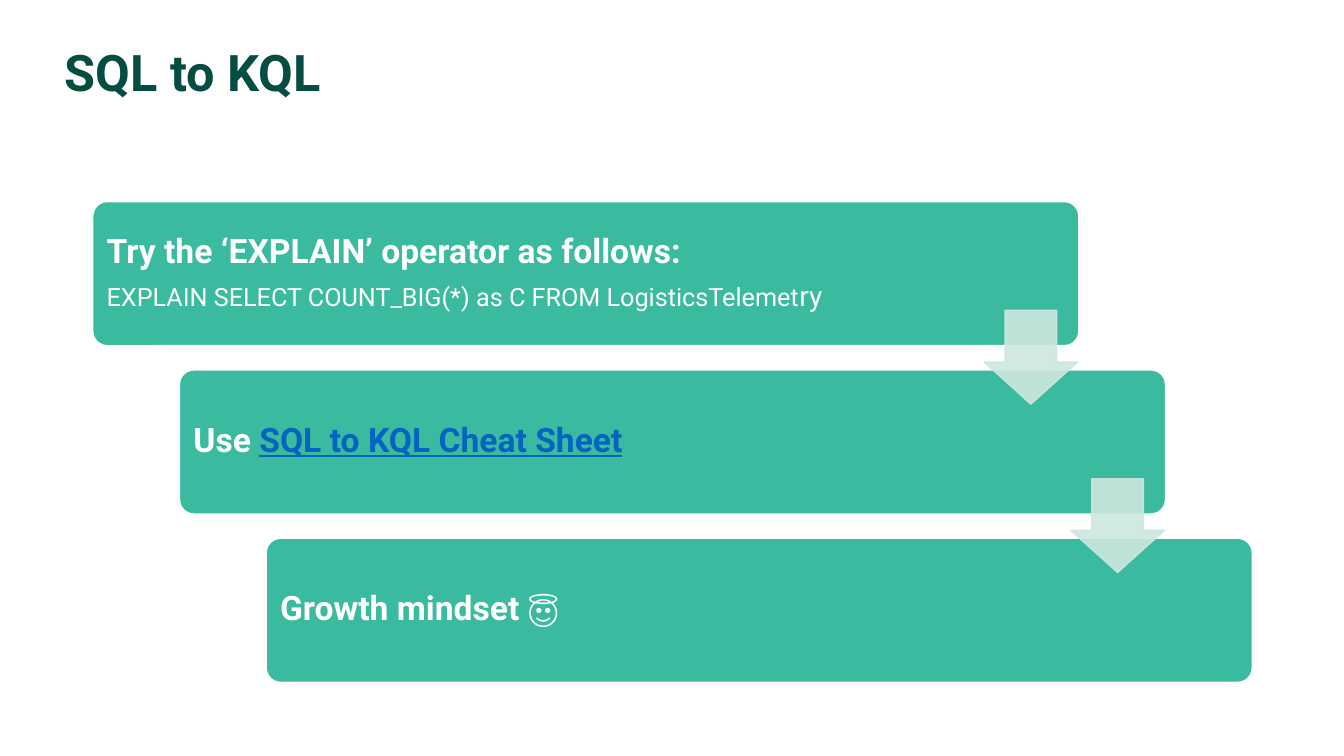
from dataclasses import dataclass

from lxml.etree import SubElement
from pptx import Presentation
from pptx.dml.color import RGBColor
from pptx.enum.shapes import MSO_SHAPE as Shape
from pptx.enum.text import MSO_ANCHOR as Anchor, PP_ALIGN as Align
from pptx.oxml.ns import qn
from pptx.util import Inches, Pt

GREEN, PALE, WHITE = "3ABB9F", "CEE7DF", "FFFFFF"
DARK, BLUE = "054D43", "0563C1"
STEP_X, STEP_Y = 0.86, 1.67


@dataclass
class Run:
    text: str
    size: float = 24
    bold: bool = True
    color: str = WHITE
    line: bool = False


@dataclass
class Step:
    paras: list[list[Run]]
    width: float = 7.9


STEPS = [
    Step([
        [Run("Try the ‘EXPLAIN’ operator as follows:")],
        [Run("EXPLAIN SELECT COUNT_BIG(*) as C FROM LogisticsTelemet", 18, False),
         Run("ry", 20, False)],
    ], 8.23),
    Step([[Run("Use "), Run("SQL to KQL Cheat Sheet", color=BLUE, line=True)]]),
    Step([[Run("Growth mindset "), Run("😇", bold=False)]]),
]


def rgb(code: str) -> RGBColor:
    return RGBColor.from_string(code)


def assign(item, form: dict) -> None:
    for name, value in form.items():
        setattr(item, name, value)


def add_text(slide, box: tuple, paras: list[list[Run]], pads: tuple) -> None:
    frame = slide.shapes.add_textbox(*map(Inches, box)).text_frame
    sides = ("margin_left", "margin_top", "margin_right", "margin_bottom")
    assign(frame, {"word_wrap": True, "vertical_anchor": Anchor.MIDDLE,
                   **dict(zip(sides, map(Inches, pads)))})
    for i, runs in enumerate(paras):
        para = frame.add_paragraph() if i else frame.paragraphs[0]
        after = Pt(8.4 if len(paras) > 1 and not i else 0)
        assign(para, {"line_spacing": 0.9, "space_before": Pt(0),
                      "space_after": after, "alignment": Align.LEFT})
        for item in runs:
            run = para.add_run()
            run.text = item.text
            assign(run.font, {"name": "Roboto", "size": Pt(item.size),
                              "bold": item.bold, "underline": item.line})
            run.font.color.rgb = rgb(item.color)


def add_form(slide, kind: Shape, box: tuple, adjust: tuple,
             fill: str, edge: str, alpha: int = 100) -> None:
    form = slide.shapes.add_shape(kind, *map(Inches, box))
    form.shadow.inherit = False
    for i, value in enumerate(adjust):
        form.adjustments[i] = value
    form.fill.solid()
    form.fill.fore_color.rgb = rgb(fill)
    form.line.color.rgb = rgb(edge)
    form.line.width = Pt(1)
    if alpha < 100:
        for color in form.element.spPr.iter(qn("a:srgbClr")):
            SubElement(color, qn("a:alpha"), val=str(alpha * 1000))


def main() -> None:
    deck = Presentation()
    assign(deck, {"slide_width": Inches(13.33), "slide_height": Inches(7.5)})
    slide = deck.slides.add_slide(deck.slide_layouts[6])
    add_text(slide, (0.64, 0.4, 6.02, 0.62),
             [[Run("SQL to KQL", 36, color=DARK)]], (0, 0.07, 0, 0))
    for i, step in enumerate(STEPS):
        left, top = 0.92 + i * STEP_X, 2 + i * STEP_Y
        add_form(slide, Shape.ROUNDED_RECTANGLE, (left, top, 9.78, 1.43),
                 (0.1,), GREEN, WHITE)
        add_text(slide, (left + 0.04, top + 0.04, step.width, 1.34),
                 step.paras, (0.1,) * 4)
    for i in range(len(STEPS) - 1):
        add_form(slide, Shape.DOWN_ARROW,
                 (9.76 + i * STEP_X, 3.08 + i * STEP_Y, 0.93, 0.93),
                 (0.55, 0.45), PALE, PALE, 90)
    deck.save("out.pptx")


if __name__ == "__main__":
    main()
